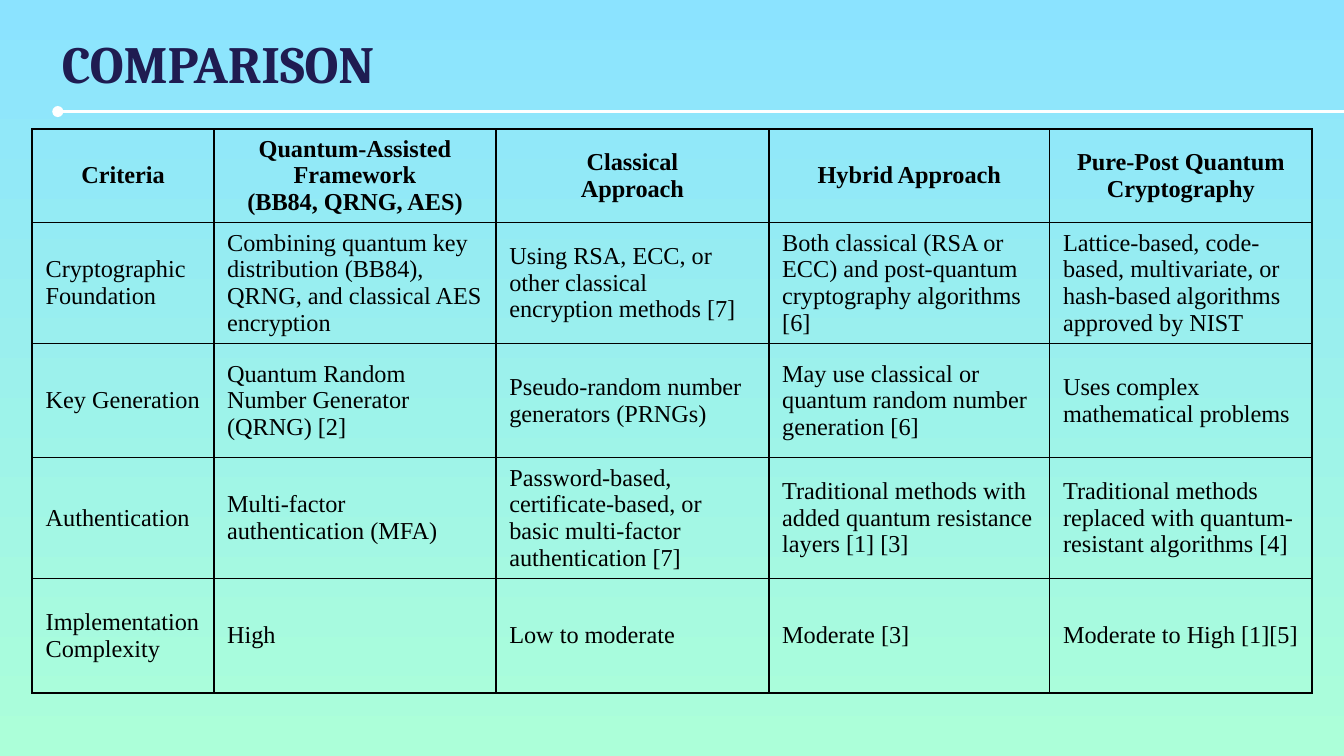
from lxml import etree
from pptx import Presentation
from pptx import util as u
from pptx.dml.color import RGBColor
from pptx.enum import shapes, text
from pptx.oxml import ns

SKY = RGBColor(0x8B, 0xE3, 0xFF)
MINT = RGBColor(0xAC, 0xFF, 0xD9)
NAVY = RGBColor(0x1F, 0x1C, 0x51)
WHITE = RGBColor(0xFF, 0xFF, 0xFF)
BLACK = RGBColor(0x00, 0x00, 0x00)

COLUMN_WIDTHS = [1.35, 2.1, 2.03, 2.09, 1.95]
ROW_HEIGHTS = [0.69, 0.9, 0.85, 0.9, 0.85]

# A line feed starts a new paragraph in the cell.
COMPARISON = [
    ["Criteria", "Quantum-Assisted Framework\n(BB84, QRNG, AES)",
     "Classical\nApproach", "Hybrid Approach",
     "Pure-Post Quantum Cryptography"],
    ["Cryptographic Foundation",
     "Combining quantum key distribution (BB84), QRNG, and classical AES encryption",
     "Using RSA, ECC, or other classical encryption methods [7]",
     "Both classical (RSA or ECC) and post-quantum cryptography algorithms [6]",
     "Lattice-based, code-based, multivariate, or hash-based algorithms approved by NIST"],
    ["Key Generation",
     "Quantum Random Number Generator (QRNG) [2]",
     "Pseudo-random number generators (PRNGs)",
     "May use classical or quantum random number generation [6]",
     "Uses complex mathematical problems"],
    ["Authentication",
     "Multi-factor authentication (MFA)",
     "Password-based, certificate-based, or basic multi-factor authentication [7]",
     "Traditional methods with added quantum resistance layers [1] [3]",
     "Traditional methods replaced with quantum-resistant algorithms [4]"],
    ["Implementation Complexity", "High", "Low to moderate", "Moderate [3]",
     "Moderate to High [1][5]"],
]


class Deck:
    title_font = "Cambria"
    table_font = "Times New Roman"
    title_size = u.Pt(28)
    table_size = u.Pt(13)

    def __init__(self, width):
        """Start a widescreen (16:9) deck."""
        self.prs = Presentation()
        self.prs.slide_width = u.Inches(width)
        self.prs.slide_height = u.Inches(width * 9 / 16)
        self.s = None

    def add_slide(self, top_color, bottom_color):
        self.s = self.prs.slides.add_slide(self.prs.slide_layouts[5])
        fill = self.s.background.fill
        fill.gradient()
        fill.gradient_angle = 270
        for stop, color in zip(fill.gradient_stops, (top_color, bottom_color)):
            stop.color.rgb = color

    def add_run(self, p, words, font, size, color, bold):
        r = p.add_run()
        r.text = words
        r.font.name = font
        r.font.size = size
        r.font.bold = bold
        r.font.color.rgb = color

    def title(self, words, left, top, width, height):
        sp = self.s.shapes.title
        sp.left, sp.top = u.Inches(left), u.Inches(top)
        sp.width, sp.height = u.Inches(width), u.Inches(height)
        tf = sp.text_frame
        tf.word_wrap = True
        tf.auto_size = text.MSO_AUTO_SIZE.NONE
        tf.vertical_anchor = text.MSO_ANCHOR.TOP
        tf.margin_left = tf.margin_right = u.Inches(0.1)
        tf.margin_top = tf.margin_bottom = u.Inches(0.1)
        p = tf.paragraphs[0]
        p.alignment = text.PP_ALIGN.LEFT
        self.add_run(p, words, self.title_font, self.title_size, NAVY, True)

    def rule(self, left, right, y):
        """Draw a horizontal line that starts with a dot."""
        line = self.s.shapes.add_connector(
            shapes.MSO_CONNECTOR.STRAIGHT,
            u.Inches(left), u.Inches(y), u.Inches(right), u.Inches(y))
        line.line.color.rgb = WHITE
        line.line.width = u.Pt(1.5)
        etree.SubElement(line.line._get_or_add_ln(), ns.qn("a:headEnd"), type="oval")
        etree.SubElement(line._element.spPr, ns.qn("a:effectLst"))

    def border(self, cell):
        tc_pr = cell._tc.get_or_add_tcPr()
        for i, side in enumerate(("lnL", "lnR", "lnT", "lnB")):
            ln = etree.Element(ns.qn(f"a:{side}"), w=str(u.Pt(1)))
            fill = etree.SubElement(ln, ns.qn("a:solidFill"))
            etree.SubElement(fill, ns.qn("a:srgbClr"), val=str(BLACK))
            tc_pr.insert(i, ln)

    def cell(self, cell, words, header):
        cell.fill.background()
        self.border(cell)
        cell.vertical_anchor = text.MSO_ANCHOR.MIDDLE
        tf = cell.text_frame
        for i, line in enumerate(words.split("\n")):
            p = tf.add_paragraph() if i else tf.paragraphs[0]
            p.alignment = text.PP_ALIGN.CENTER if header else text.PP_ALIGN.LEFT
            self.add_run(p, line, self.table_font, self.table_size, BLACK, header)

    def table(self, rows, left, top, widths, heights):
        table = self.s.shapes.add_table(
            len(rows), len(widths), u.Inches(left), u.Inches(top),
            u.Inches(sum(widths)), u.Inches(sum(heights))).table
        table.first_row = table.horz_banding = False
        for column, width in zip(table.columns, widths):
            column.width = u.Inches(width)
        for i, (row, height) in enumerate(zip(table.rows, heights)):
            row.height = u.Inches(height)
            for cell, words in zip(row.cells, rows[i]):
                self.cell(cell, words, header=i == 0)


def main():
    deck = Deck(10)
    deck.add_slide(SKY, MINT)
    deck.rule(0.43, 10, 0.83)
    deck.title("COMPARISON", 0.36, 0.13, 6.65, 0.59)
    deck.table(COMPARISON, 0.24, 0.96, COLUMN_WIDTHS, ROW_HEIGHTS)
    deck.prs.save("out.pptx")


if __name__ == "__main__":
    main()
